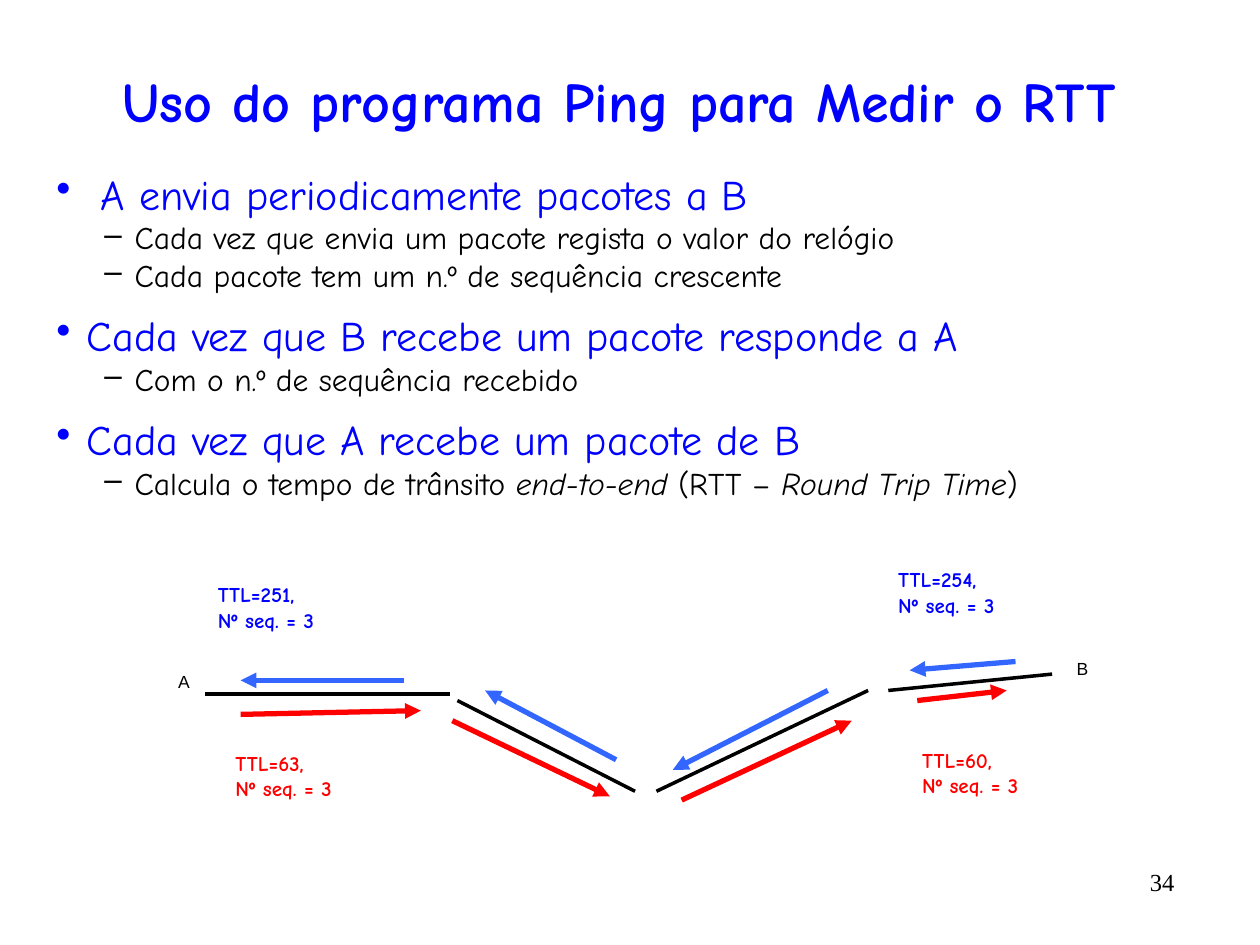
from dataclasses import dataclass

from lxml import etree
from pptx import Presentation
from pptx.dml.color import RGBColor
from pptx.enum.shapes import MSO_CONNECTOR
from pptx.enum.text import MSO_ANCHOR, PP_ALIGN
from pptx.oxml.ns import qn
from pptx.slide import Slide
from pptx.text.text import _Paragraph
from pptx.util import Inches, Pt

STRAIGHT = MSO_CONNECTOR.STRAIGHT
TOP, MIDDLE = MSO_ANCHOR.TOP, MSO_ANCHOR.MIDDLE
LEFT, CENTER, RIGHT = PP_ALIGN.LEFT, PP_ALIGN.CENTER, PP_ALIGN.RIGHT

BLACK = RGBColor(0x00, 0x00, 0x00)
BLUE = RGBColor(0x00, 0x00, 0xFF)
RED = RGBColor(0xFF, 0x00, 0x00)
REPLY_BLUE = RGBColor(0x33, 0x66, 0xFF)

COMIC = "Comic Neue"


@dataclass(frozen=True)
class Level:
    bullet: str
    size: float
    color: RGBColor
    indent: float
    space_before: float


@dataclass(frozen=True)
class Run:
    text: str
    italic: bool = False


@dataclass(frozen=True)
class Item:
    level: int
    runs: tuple[Run, ...]


@dataclass(frozen=True)
class Label:
    left: float
    top: float
    ttl: int
    color: RGBColor


@dataclass(frozen=True)
class Segment:
    start: tuple[float, float]
    end: tuple[float, float]


LEVELS = (
    Level("•", 24, BLUE, 0.24, 12),
    Level("–", 18, BLACK, 0.62, 2),
)
HANGING = 0.24

ITEMS = (
    Item(0, (Run(" A envia periodicamente pacotes a B"),)),
    Item(1, (Run("Cada vez que envia um pacote regista o valor do relógio"),)),
    Item(1, (Run("Cada pacote tem um n.º de sequência crescente"),)),
    Item(0, (Run("Cada vez que B recebe um pacote responde a A"),)),
    Item(1, (Run("Com o n.º de sequência recebido"),)),
    Item(0, (Run("Cada vez que A recebe um pacote de B"),)),
    Item(1, (
        Run("Calcula o tempo de trânsito "),
        Run("end-to-end ", italic=True),
        Run("(RTT – "),
        Run("Round Trip Time", italic=True),
        Run(")"),
    )),
)

LINKS = (
    Segment((7.05, 5.48), (8.35, 5.35)),
    Segment((1.63, 5.51), (3.57, 5.51)),
    Segment((5.21, 6.28), (6.89, 5.48)),
    Segment((3.63, 5.56), (5.04, 6.28)),
)
REQUESTS = (
    Segment((3.59, 5.72), (4.84, 6.32)),
    Segment((1.91, 5.67), (3.34, 5.64)),
    Segment((5.41, 6.35), (6.76, 5.72)),
    Segment((7.28, 5.56), (7.99, 5.48)),
)
REPLIES = (
    Segment((8.06, 5.25), (7.22, 5.32)),
    Segment((6.57, 5.48), (5.34, 6.11)),
    Segment((4.89, 6.03), (3.85, 5.48)),
    Segment((3.21, 5.40), (1.91, 5.40)),
)
LABELS = (
    Label(1.77, 5.91, 63, RED),
    Label(1.63, 4.57, 251, BLUE),
    Label(7.22, 5.88, 60, RED),
    Label(7.03, 4.45, 254, BLUE),
)


def add_run(paragraph: _Paragraph, text: str, *, size: float, font: str = COMIC,
            color: RGBColor = BLACK, bold: bool = False, italic: bool = False) -> None:
    run = paragraph.add_run()
    run.text = text
    run.font.size = Pt(size)
    run.font.name = font
    run.font.color.rgb = color
    run.font.bold = bold
    run.font.italic = italic


def add_frame(slide: Slide, left: float, top: float, width: float, height: float,
              anchor: MSO_ANCHOR = TOP):
    box = slide.shapes.add_textbox(Inches(left), Inches(top), Inches(width), Inches(height))
    frame = box.text_frame
    frame.word_wrap = True
    frame.vertical_anchor = anchor
    return frame


def add_text(slide: Slide, left: float, top: float, width: float, height: float,
             lines: tuple[str, ...], *, align: PP_ALIGN = LEFT,
             anchor: MSO_ANCHOR = TOP, **style) -> None:
    frame = add_frame(slide, left, top, width, height, anchor)
    for index, line in enumerate(lines):
        paragraph = frame.add_paragraph() if index else frame.paragraphs[0]
        paragraph.alignment = align
        add_run(paragraph, line, **style)


def set_bullet(paragraph: _Paragraph, level: Level) -> None:
    properties = paragraph._p.get_or_add_pPr()
    properties.set("marL", str(Inches(level.indent)))
    properties.set("indent", str(-Inches(HANGING)))
    color = etree.SubElement(properties, qn("a:buClr"))
    etree.SubElement(color, qn("a:srgbClr"), val=str(level.color))
    etree.SubElement(properties, qn("a:buChar"), char=level.bullet)


def add_bullets(slide: Slide) -> None:
    frame = add_frame(slide, 0.35, 1.33, 9.4, 3.07)
    for index, item in enumerate(ITEMS):
        level = LEVELS[item.level]
        paragraph = frame.add_paragraph() if index else frame.paragraphs[0]
        paragraph.level = item.level
        set_bullet(paragraph, level)
        paragraph.line_spacing = 0.9
        if index:
            paragraph.space_before = Pt(level.space_before)
        for run in item.runs:
            add_run(paragraph, run.text, size=level.size, color=level.color, italic=run.italic)


def add_line(slide: Slide, segment: Segment, color: RGBColor, width: float,
             arrow: bool = False) -> None:
    points = [Inches(value) for value in segment.start + segment.end]
    connector = slide.shapes.add_connector(STRAIGHT, *points)
    connector.line.color.rgb = color
    connector.line.width = Pt(width)
    if arrow:
        etree.SubElement(connector.line._get_or_add_ln(), qn("a:tailEnd"), type="triangle")
    etree.SubElement(connector._element.spPr, qn("a:effectLst"))


def main() -> None:
    presentation = Presentation()
    presentation.slide_width = Inches(10)
    presentation.slide_height = Inches(7.5)
    slide = presentation.slides.add_slide(presentation.slide_layouts[6])

    add_text(slide, 8.42, 6.83, 1, 0.42, ("34",), align=RIGHT, size=14, font="Times New Roman")
    add_text(slide, 0.33, 0.42, 9.17, 0.75, ("Uso do programa Ping para Medir o RTT",),
             align=CENTER, anchor=MIDDLE, size=32, color=BLUE, bold=True)
    add_bullets(slide)

    for link in LINKS:
        add_line(slide, link, BLACK, 2)
    for request in REQUESTS:
        add_line(slide, request, RED, 3, arrow=True)
    for reply in REPLIES:
        add_line(slide, reply, REPLY_BLUE, 3, arrow=True)

    for label in LABELS:
        add_text(slide, label.left, label.top, 1.21, 0.64, (f"TTL={label.ttl},", "Nº seq. = 3"),
                 size=12, color=label.color, bold=True)
    for host, left, top in (("A", 1.27, 5.18), ("B", 8.4, 5.08)):
        add_text(slide, left, top, 0.38, 0.45, (host,), align=CENTER, anchor=MIDDLE,
                 size=10, font="Arial")

    presentation.save("out.pptx")


if __name__ == "__main__":
    main()
